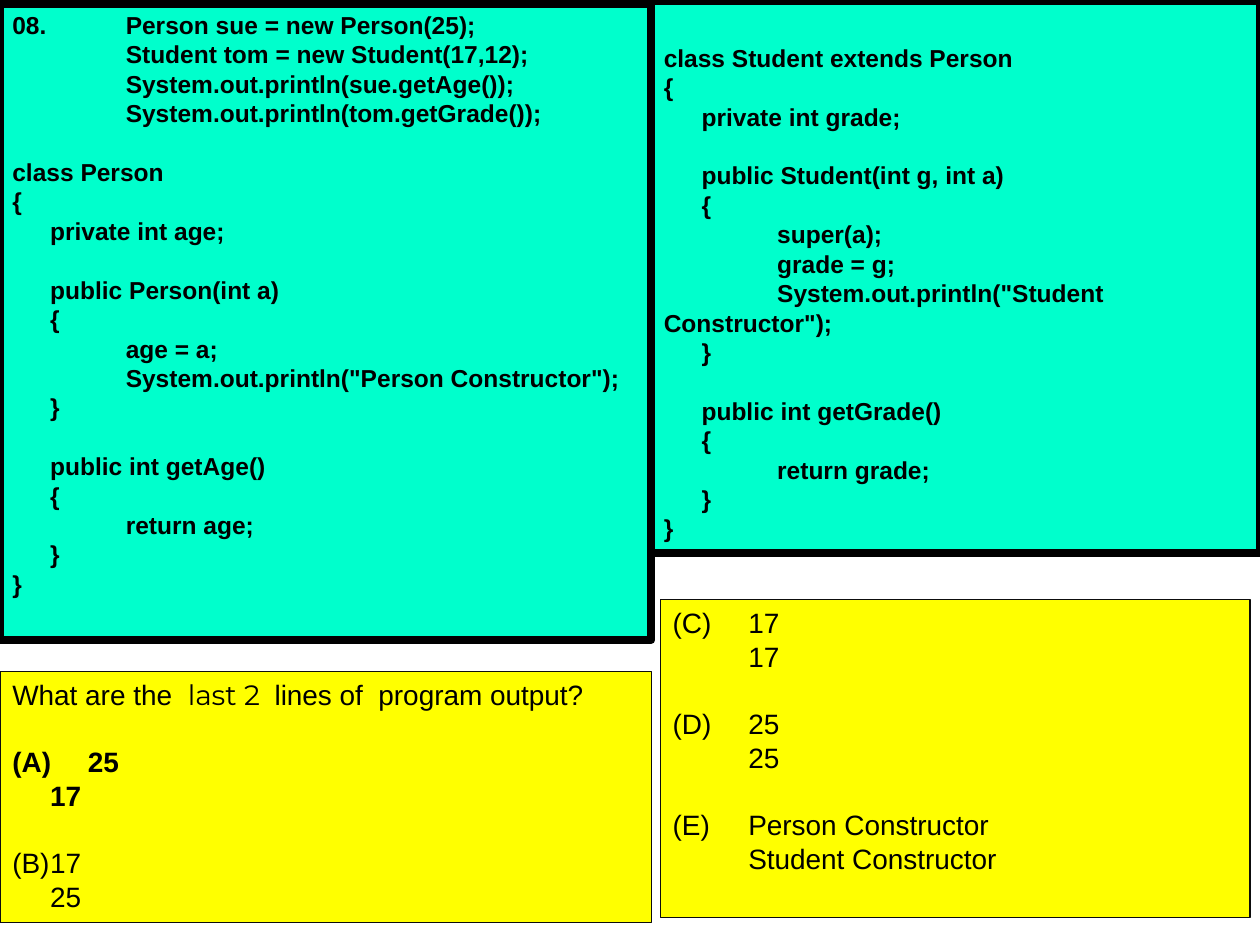
"""Build a quiz slide with two code panels and two answer panels."""
from lxml import etree
from pptx import Presentation
from pptx import util as u
from pptx.dml.color import RGBColor
from pptx.enum import shapes, text
from pptx.oxml import ns

BLACK = RGBColor(0x00, 0x00, 0x00)
NEAR_BLACK = RGBColor(0x0D, 0x0D, 0x0D)
MINT = RGBColor(0x00, 0xFF, 0xCC)
YELLOW = RGBColor(0xFF, 0xFF, 0x00)
LINE_HEIGHT = 1.2
TAB_STEP = 0.3

PERSON_CODE = [
    """08.\t\t\tPerson sue = new Person(25);
\t\t\tStudent tom = new Student(17,12);
\t\t\tSystem.out.println(sue.getAge());
\t\t\tSystem.out.println(tom.getGrade());""",
    "class Person\n{\n\tprivate int age;",
    """\tpublic Person(int a)
\t{
\t\t\tage = a;
\t\t\tSystem.out.println("Person Constructor");
\t}""",
    "\tpublic int getAge()\n\t{\n\t\t\treturn age;\n\t}\n}",
]
STUDENT_CODE = [
    "class Student extends Person\n{\n\tprivate int grade;",
    """\tpublic Student(int g, int a)
\t{
\t\t\tsuper(a);
\t\t\tgrade = g;
\t\t\tSystem.out.println("Student Constructor");
\t}""",
    "\tpublic int getGrade()\n\t{\n\t\t\treturn grade;\n\t}\n}",
]
LATER_ANSWERS = [
    "(C)\t17\n\t\t17",
    "(D)\t25\n\t\t25",
    "(E)\t\tPerson Constructor\n\t\tStudent Constructor",
]


def add_run(p, content, size=14, font="Arial", bold=False, color=BLACK):
    """Append formatted text to a paragraph."""
    r = p.add_run()
    r.text = content
    r.font.size = u.Pt(size)
    r.font.name = font
    r.font.bold = bold
    r.font.color.rgb = color


def set_tabs(p, count=3):
    """Give a paragraph evenly spaced left tab stops."""
    tabs = etree.SubElement(p._p.get_or_add_pPr(), ns.qn("a:tabLst"))
    for i in range(1, count + 1):
        tab = etree.SubElement(tabs, ns.qn("a:tab"))
        tab.set("pos", str(u.Inches(TAB_STEP * i)))
        tab.set("algn", "l")


def add_panel(slide, box, fill, line, width, top=0.05):
    """Add an outlined rectangle and return its text frame."""
    sp = slide.shapes.add_shape(shapes.MSO_SHAPE.RECTANGLE, *map(u.Inches, box))
    sp.shadow.inherit = False
    sp.fill.solid()
    sp.fill.fore_color.rgb = fill
    sp.line.color.rgb = line
    sp.line.width = u.Pt(width)
    tf = sp.text_frame
    tf.word_wrap = True
    tf.vertical_anchor = text.MSO_ANCHOR.TOP
    tf.margin_top = u.Inches(top)
    return tf


def add_line(tf, size, gap=False):
    """Start a left-aligned paragraph, one line lower if gap is set."""
    p = tf.paragraphs[0]
    if p.runs:
        p = tf.add_paragraph()
    p.alignment = text.PP_ALIGN.LEFT
    p.line_spacing = u.Pt(size * LINE_HEIGHT)
    p.space_before = u.Pt(size * LINE_HEIGHT if gap else 0)
    set_tabs(p)
    return p


def add_blocks(tf, blocks, size, bold=False, gap_first=False):
    """Write blocks of lines with a one-line gap between blocks."""
    for i, block in enumerate(blocks):
        for j, content in enumerate(block.split("\n")):
            p = add_line(tf, size, gap=j == 0 and (i > 0 or gap_first))
            add_run(p, content, size=size, bold=bold)


def main():
    """Create and save the slide."""
    prs = Presentation()
    prs.slide_width, prs.slide_height = u.Inches(10), u.Inches(7.5)
    slide = prs.slides.add_slide(prs.slide_layouts[6])

    tf = add_panel(slide, (0, 0.03, 5.17, 5.05), MINT, BLACK, 4.5)
    add_blocks(tf, PERSON_CODE, 14, bold=True)

    tf = add_panel(slide, (0, 5.33, 5.17, 1.99), YELLOW, NEAR_BLACK, 0.75)
    question = add_line(tf, 16)
    add_run(question, "What are the  ", size=16)
    add_run(question, "last 2  ", size=16, font="Montserrat")
    add_run(question, "lines of  program output?", size=16)
    add_blocks(tf, ["(A)\t25\n\t17"], 16, bold=True, gap_first=True)
    add_blocks(tf, ["(B)\t17\n\t25"], 16, gap_first=True)

    tf = add_panel(slide, (5.17, 0.01, 4.83, 4.38), MINT, BLACK, 4.5, top=0.33)
    add_blocks(tf, STUDENT_CODE, 14, bold=True)

    tf = add_panel(slide, (5.24, 4.76, 4.68, 2.52), YELLOW, NEAR_BLACK, 0.75)
    add_blocks(tf, LATER_ANSWERS, 16)

    prs.save("out.pptx")


main()
